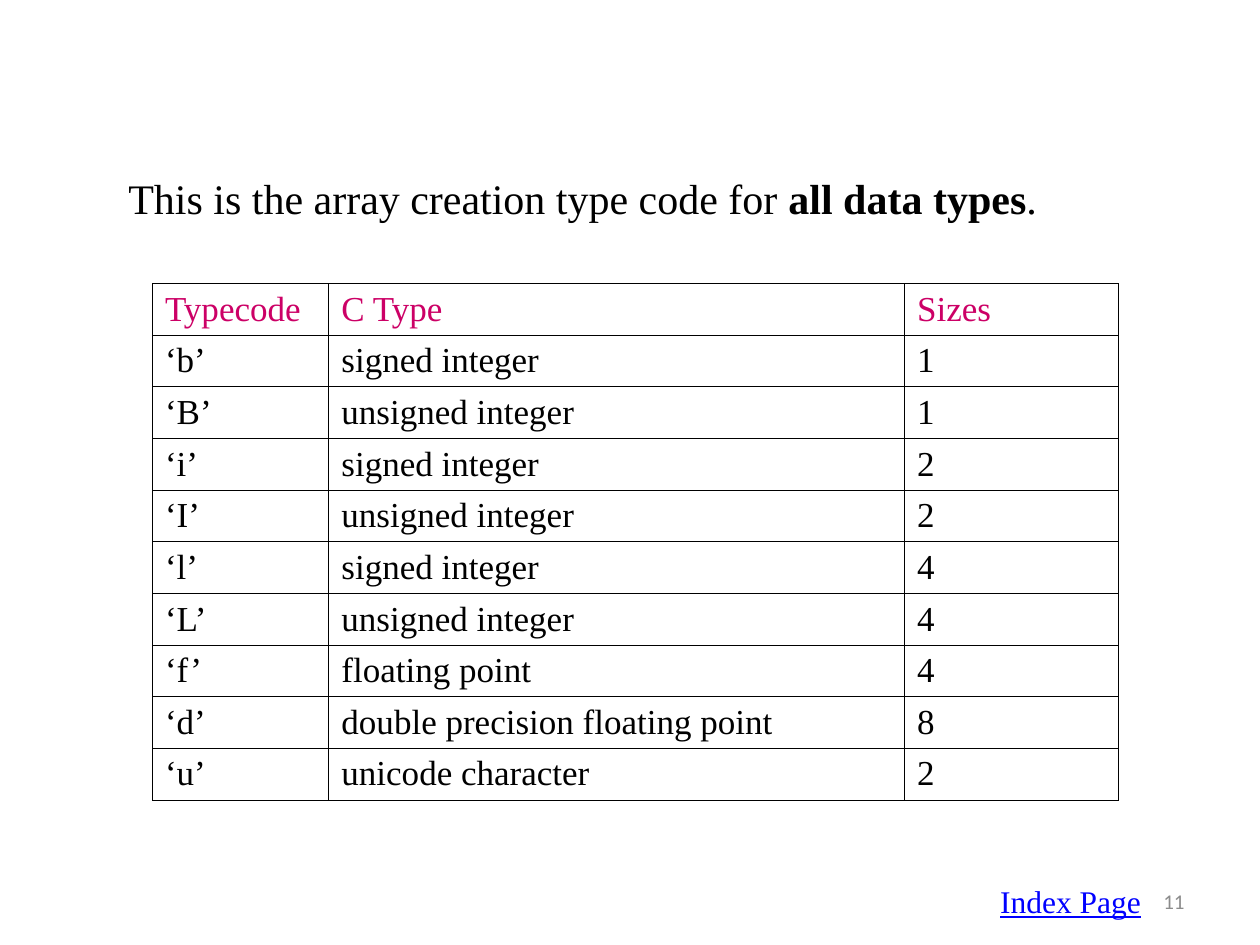
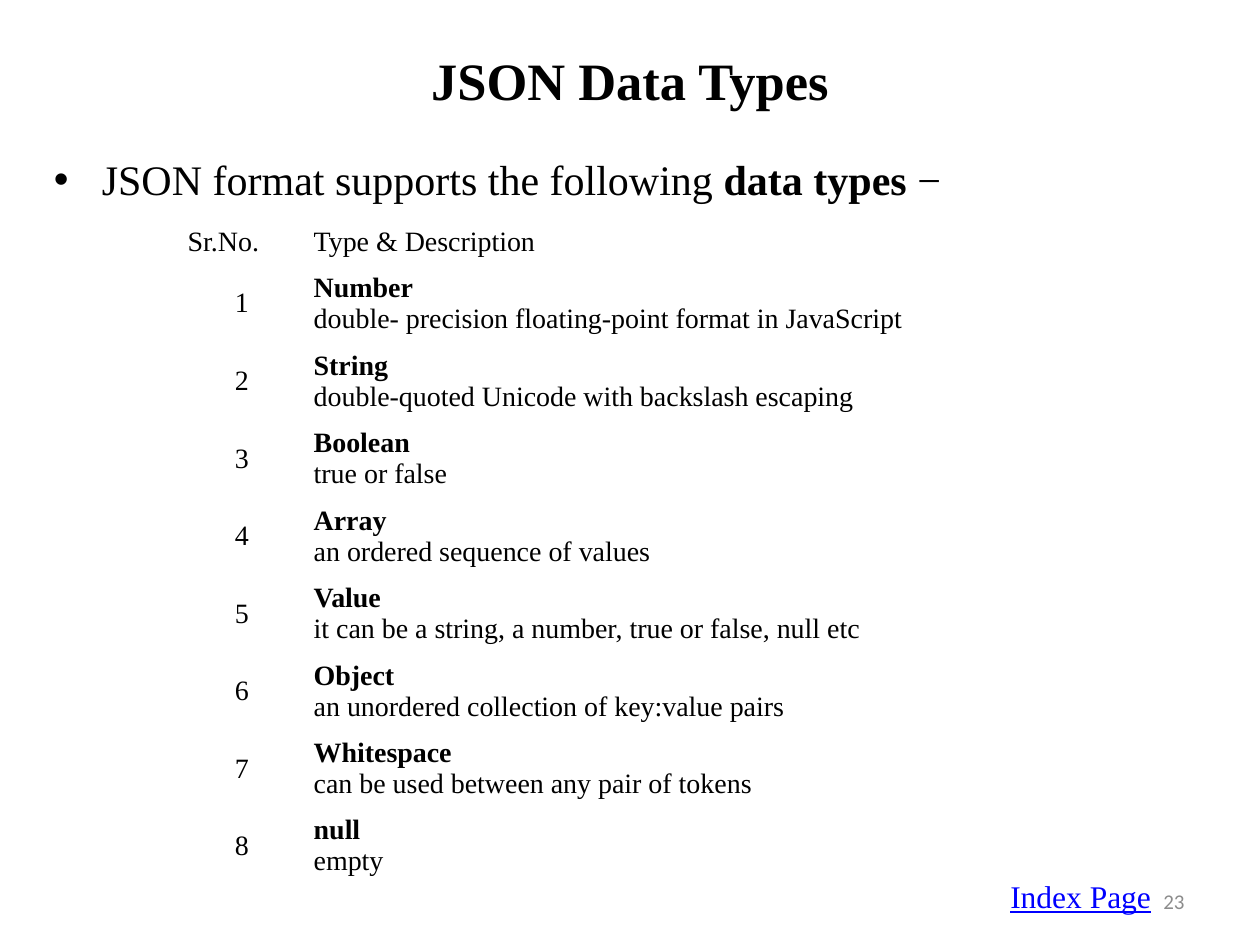
import pptx
import pptx.util
import pptx.dml.color
import pptx.enum.text
import pptx.oxml
import pptx.oxml.ns
from dataclasses import dataclass
from lxml import etree

Inches = pptx.util.Inches
Pt = pptx.util.Pt
ALIGN = pptx.enum.text.PP_ALIGN
MIDDLE = pptx.enum.text.MSO_ANCHOR.MIDDLE
TOP = pptx.enum.text.MSO_ANCHOR.TOP


@dataclass(frozen=True)
class Theme:
    """Hold the colours, fonts and type sizes of the deck."""
    serif: str = "Times New Roman"
    sans: str = "Calibri"
    ink: str = "000000"
    accent: str = "CC0066"
    link: str = "0000FF"
    muted: str = "8C8C8C"
    title: int = 30
    lead: int = 24
    grid: int = 20
    index: int = 18
    list: int = 16
    number: int = 12


THEME = Theme()

CODES = [
    ("Typecode", "C Type", "Sizes"),
    ("‘b’", "signed integer", "1"),
    ("‘B’", "unsigned integer", "1"),
    ("‘i’", "signed integer", "2"),
    ("‘I’", "unsigned integer", "2"),
    ("‘l’", "signed integer", "4"),
    ("‘L’", "unsigned integer", "4"),
    ("‘f’", "floating point", "4"),
    ("‘d’", "double precision floating point", "8"),
    ("‘u’", "unicode character", "2"),
]

TYPES = [
    ("Number", "double- precision floating-point format in JavaScript"),
    ("String", "double-quoted Unicode with backslash escaping"),
    ("Boolean", "true or false"),
    ("Array", "an ordered sequence of values"),
    ("Value", "it can be a string, a number, true or false, null etc"),
    ("Object", "an unordered collection of key:value pairs"),
    ("Whitespace", "can be used between any pair of tokens"),
    ("null", "empty"),
]


def style(para, size, color=THEME.ink, face=THEME.serif, bold=None, align=ALIGN.LEFT):
    """Set the font and alignment of a paragraph."""
    para.alignment = align
    para.font.name = face
    para.font.size = Pt(size)
    para.font.bold = bold
    para.font.color.rgb = pptx.dml.color.RGBColor.from_string(color)


def add_text(slide, box, text, size, anchor=TOP, wrap=True, **look):
    """Add a styled text box and return its paragraph."""
    frame = slide.shapes.add_textbox(*map(Inches, box)).text_frame
    frame.word_wrap = wrap
    frame.vertical_anchor = anchor
    para = frame.paragraphs[0]
    para.text = text
    style(para, size, **look)
    return para


def add_lead(slide, box, start, strong, end):
    """Add an opening sentence with a bold phrase in it."""
    para = add_text(slide, box, start, THEME.lead, align=ALIGN.JUSTIFY)
    para.add_run().text = strong
    para.runs[-1].font.bold = True
    para.add_run().text = end
    return para


def add_bullet(para, indent):
    """Give a paragraph a round bullet and a hanging indent."""
    props = para._p.get_or_add_pPr()
    props.set("marL", str(Inches(indent)))
    props.set("indent", str(-Inches(indent)))
    tag = pptx.oxml.ns.qn
    etree.SubElement(props, tag("a:buFont")).set("typeface", "Arial")
    etree.SubElement(props, tag("a:buChar")).set("char", "•")


def add_foot(slide, number, left, top):
    """Add the index label and the slide number."""
    add_text(slide, (7.17, 6.95, 2.33, 0.4), number, THEME.number, MIDDLE,
             color=THEME.muted, face=THEME.sans, align=ALIGN.RIGHT)
    label = add_text(slide, (left, top, 1.33, 0.4), "Index Page", THEME.index,
                     wrap=False, color=THEME.link)
    label.font.underline = True


def add_grid(slide, left, top, widths, heights):
    """Add a plain table with the given columns and rows."""
    table = slide.shapes.add_table(
        len(heights), len(widths), Inches(left), Inches(top),
        Inches(sum(widths)), Inches(sum(heights))).table
    table.first_row = table.horz_banding = False
    for col, width in zip(table.columns, widths):
        col.width = Inches(width)
    for row, height in zip(table.rows, heights):
        row.height = Inches(height)
    return table


def fill_cell(cell, text, pad):
    """Put text in a clear cell and return its paragraphs."""
    cell.fill.background()
    cell.vertical_anchor = MIDDLE
    cell.margin_left = cell.margin_right = Inches(pad[0])
    cell.margin_top = cell.margin_bottom = Inches(pad[1])
    cell.text = text
    return cell.text_frame.paragraphs


def add_border(cell):
    """Draw a thin line on all four sides of a cell."""
    props = cell._tc.get_or_add_tcPr()
    space = pptx.oxml.ns.nsdecls("a")
    for place, side in enumerate(("lnL", "lnR", "lnT", "lnB")):
        props.insert(place, pptx.oxml.parse_xml(
            f'<a:{side} {space} w="{Pt(0.5)}"><a:solidFill>'
            f'<a:srgbClr val="{THEME.ink}"/></a:solidFill></a:{side}>'))


def code_slide(slide):
    """Build the slide of array type codes."""
    heights = [0.41] + [0.41] * (len(CODES) - 1)
    table = add_grid(slide, 1.21, 2.25, (1.4, 4.57, 1.7), heights)
    for row, texts in enumerate(CODES):
        for col, text in enumerate(texts):
            cell = table.cell(row, col)
            para = fill_cell(cell, text, (0.1, 0.05))[0]
            style(para, THEME.grid, THEME.ink if row else THEME.accent)
            add_border(cell)
    add_lead(slide, (0.92, 1.32, 8.25, 0.5),
             "This is the array creation type code for ", "all data types", ".")
    add_foot(slide, "11", 7.84, 6.95)


def type_slide(slide):
    """Build the slide of JSON data types."""
    add_text(slide, (0.5, 0.01, 9, 1.25), "JSON Data Types", THEME.title,
             MIDDLE, bold=True, align=ALIGN.CENTER)
    lead = add_lead(slide, (0.33, 1.17, 9.5, 0.5),
                    "JSON format supports the following ", "data types ", "−")
    add_bullet(lead, 0.38)
    heights = (0.3, 0.62, 0.62, 0.53, 0.53, 0.62, 0.53, 0.53, 0.53)
    table = add_grid(slide, 1.42, 1.75, (1, 6.58), heights)
    pad = (0.07, 0.04)
    for col, text in enumerate(("Sr.No.", "Type & Description")):
        style(fill_cell(table.cell(0, col), text, pad)[0], THEME.list)
    for row, (name, note) in enumerate(TYPES, 1):
        count = fill_cell(table.cell(row, 0), str(row), pad)[0]
        style(count, THEME.list, align=ALIGN.CENTER)
        head, body = fill_cell(table.cell(row, 1), f"{name}\n{note}", pad)
        style(head, THEME.list, bold=True)
        style(body, THEME.list)
    add_foot(slide, "23", 7.92, 6.91)


def main():
    """Build and save the deck."""
    deck = pptx.Presentation()
    deck.slide_width, deck.slide_height = Inches(10), Inches(7.5)
    for build in (code_slide, type_slide):
        build(deck.slides.add_slide(deck.slide_layouts[6]))
    deck.save("out.pptx")


if __name__ == "__main__":
    main()
